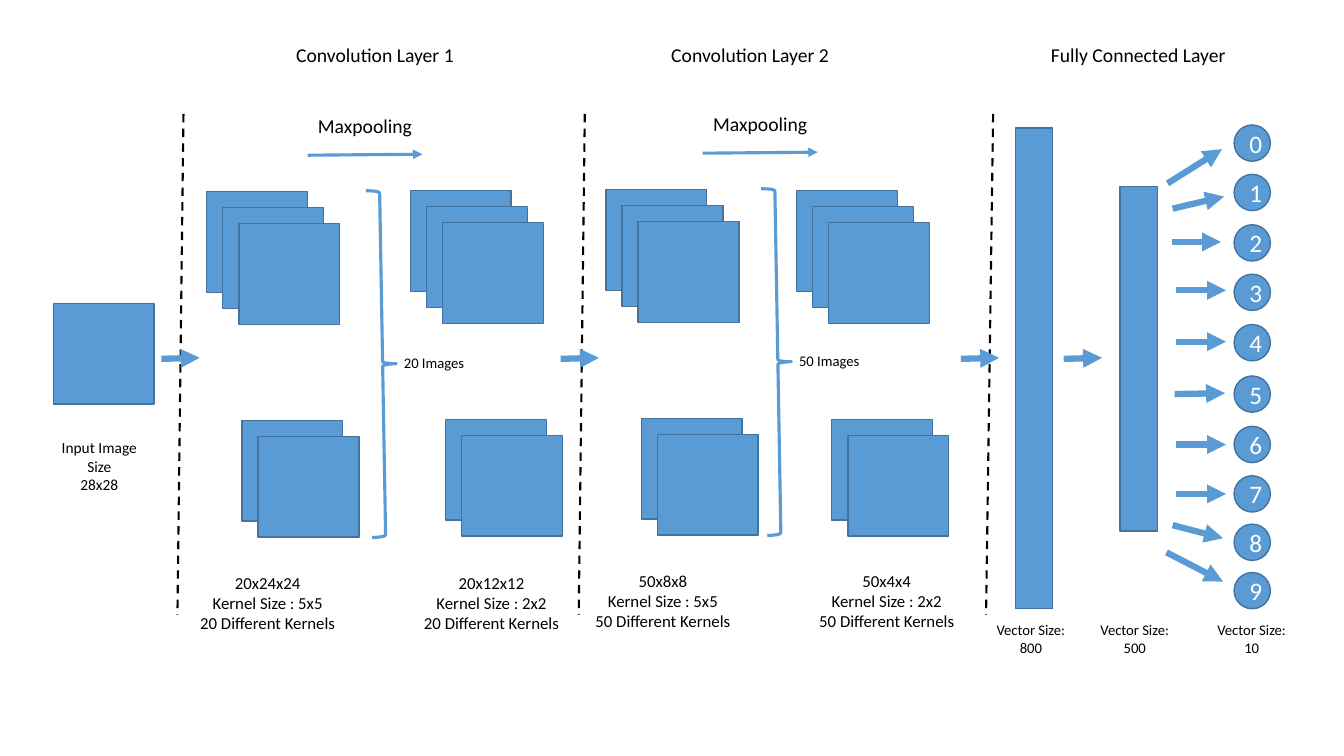
from lxml.etree import SubElement
from pptx import Presentation
from pptx.dml.color import RGBColor
from pptx.enum.dml import MSO_LINE_DASH_STYLE as Dash
from pptx.enum.shapes import MSO_CONNECTOR as Connector, MSO_SHAPE as Shape
from pptx.enum.text import MSO_ANCHOR as Anchor, MSO_AUTO_SIZE as AutoSize, PP_ALIGN as Align
from pptx.oxml.ns import qn
from pptx.util import Inches, Pt

BLUE, OUTLINE, BLACK, WHITE = "5B9BD5", "43739E", "000000", "FFFFFF"
FONT = "Calibri"
STACK_OFFSETS = [(0, 0), (0.16, 0.16), (0.32, 0.32), (0.35, 2.27), (0.51, 2.43)]

# Title, its left, shift of the whole layer, image count, and for each stack:
# its left and top, and the sizes of its output and kernel.
LAYERS = [
    ("Convolution Layer 1", 2.22, 0, 0, 20,
     [(2.05, 1.9, "24x24", "5x5"), (4.07, 1.89, "12x12", "2x2")]),
    ("Convolution Layer 2", 5.94, 3.92, -0.02, 50,
     [(6.01, 1.88, "8x8", "5x5"), (7.9, 1.89, "4x4", "2x2")]),
]

# For each digit: top of its circle, then start and end of its arrow.
DIGITS = [
    (1.24, (11.58, 1.82), (12.12, 1.48)),
    (1.73, (11.63, 2.07), (12.14, 1.95)),
    (2.23, (11.62, 2.4), (12.11, 2.4)),
    (2.72, (11.66, 2.88), (12.16, 2.88)),
    (3.22, (11.66, 3.39), (12.16, 3.39)),
    (3.73, (11.65, 3.91), (12.15, 3.9)),
    (4.23, (11.66, 4.41), (12.16, 4.41)),
    (4.72, (11.66, 4.9), (12.16, 4.9)),
    (5.2, (11.63, 5.21), (12.13, 5.34)),
    (5.68, (11.57, 5.48), (12.13, 5.77)),
]


def color(hex_value):
    return RGBColor.from_string(hex_value)


class Diagram:
    """Draws styled elements on one slide."""

    def __init__(self, slide):
        self.shapes = slide.shapes

    def fill_text(self, frame, lines, size, hex_value):
        frame.word_wrap = True
        for index, line in enumerate(lines):
            paragraph = frame.add_paragraph() if index else frame.paragraphs[0]
            paragraph.text = line
            paragraph.alignment = Align.CENTER
            paragraph.font.name = FONT
            paragraph.font.size = Pt(size)
            paragraph.font.color.rgb = color(hex_value)

    def label(self, left, top, width, height, size, *lines):
        box = self.shapes.add_textbox(
            Inches(left), Inches(top), Inches(width), Inches(height))
        self.fill_text(box.text_frame, lines, size, BLACK)
        box.text_frame.auto_size = AutoSize.SHAPE_TO_FIT_TEXT

    def block(self, left, top, width=1, height=1, kind=Shape.RECTANGLE):
        shape = self.shapes.add_shape(
            kind, Inches(left), Inches(top), Inches(width), Inches(height))
        shape.shadow.inherit = False
        shape.fill.solid()
        shape.fill.fore_color.rgb = color(BLUE)
        shape.line.color.rgb = color(OUTLINE)
        shape.line.width = Pt(1)
        return shape

    def stack(self, left, top):
        for across, down in STACK_OFFSETS:
            self.block(left + across, top + down)

    def digit(self, value, top):
        circle = self.block(12.24, top, 0.36, 0.36, Shape.OVAL)
        circle.text_frame.vertical_anchor = Anchor.MIDDLE
        self.fill_text(circle.text_frame, [str(value)], 18, WHITE)

    def brace(self, left, top):
        shape = self.shapes.add_shape(
            Shape.LEFT_BRACE, Inches(left), Inches(top), Inches(0.27), Inches(3.44))
        shape.shadow.inherit = False
        shape.rotation = 179
        shape.fill.background()
        shape.line.color.rgb = color(BLUE)
        shape.line.width = Pt(2.25)

    def line(self, start, end, hex_value, width):
        connector = self.shapes.add_connector(
            Connector.STRAIGHT, *(Inches(value) for value in (*start, *end)))
        connector.line.color.rgb = color(hex_value)
        connector.line.width = Pt(width)
        SubElement(connector._element.spPr, qn("a:effectLst"))
        return connector

    def divider(self, top_x, bottom_x):
        connector = self.line((top_x, 1.13), (bottom_x, 6.1), BLACK, 1.5)
        connector.line.dash_style = Dash.DASH

    def arrow(self, start, end, width=4.5):
        connector = self.line(start, end, BLUE, width)
        outline = connector._element.spPr.find(qn("a:ln"))
        SubElement(outline, qn("a:tailEnd"), type="triangle")

    def convolution_layer(self, title, title_left, across, down, count, stacks):
        self.label(title_left, 0.38, 3, 0.34, 14, title)
        self.label(2.12 + across, 1.08 + down, 3, 0.34, 14, "Maxpooling")
        self.arrow((3.05 + across, 1.54 + down), (4.19 + across, 1.53 + down), 2.25)
        for index, (left, top, output, kernel) in enumerate(stacks):
            self.stack(left, top)
            self.label(1.88 + across + 2.22 * index, 5.63 + down, 1.55, 0.71, 12,
                       f"{count}x{output}", f"Kernel Size : {kernel}",
                       f"{count} Different Kernels")
        self.brace(3.66 + across, 1.89 + down)
        self.label(3.79 + across, 3.46 + down, 1.03, 0.28, 10.5, f"{count} Images")


def main():
    presentation = Presentation()
    presentation.slide_width = Inches(13.33)
    presentation.slide_height = Inches(7.5)
    diagram = Diagram(presentation.slides.add_slide(presentation.slide_layouts[6]))

    for top_x, bottom_x in [(1.82, 1.76), (5.8, 5.74), (9.85, 9.78)]:
        diagram.divider(top_x, bottom_x)

    diagram.block(0.53, 3.01)
    diagram.label(0.49, 4.3, 0.99, 0.66, 11, "Input Image Size", "28x28")

    for layer in LAYERS:
        diagram.convolution_layer(*layer)

    diagram.label(9.79, 0.38, 3, 0.34, 14, "Fully Connected Layer")
    diagram.block(10.07, 1.27, 0.37, 4.77)
    diagram.block(11.11, 1.85, 0.37, 3.42)
    for left, size in [(9.71, 800), (10.74, 500), (11.9, 10)]:
        diagram.label(left, 6.11, 1.03, 0.45, 10.5, f"Vector Size: {size}")

    for value, (top, start, end) in enumerate(DIGITS):
        diagram.digit(value, top)
        diagram.arrow(start, end)

    for left in (1.6, 5.56, 9.53, 10.55):
        diagram.arrow((left, 3.56), (left + 0.38, 3.55))

    presentation.save("out.pptx")


if __name__ == "__main__":
    main()
